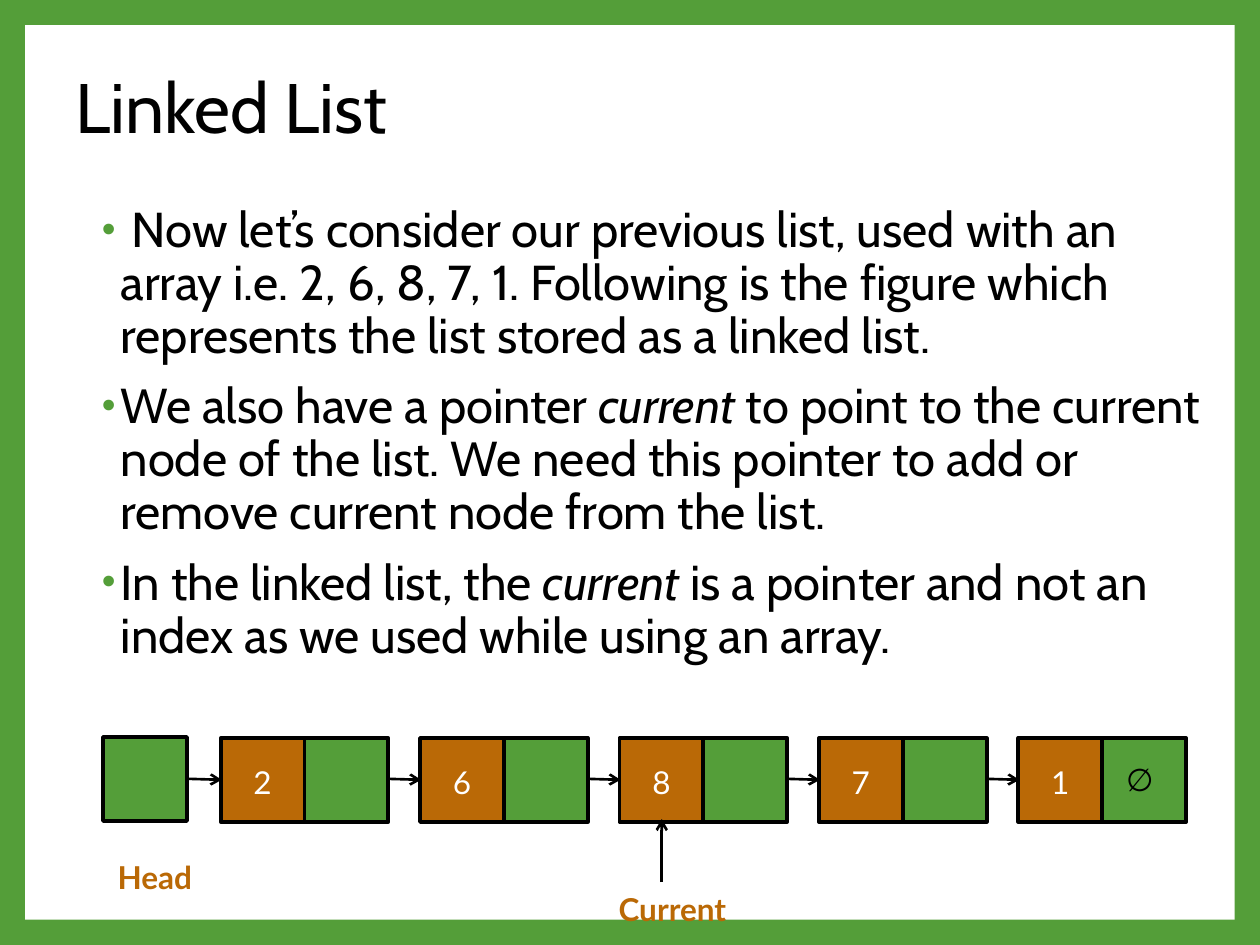
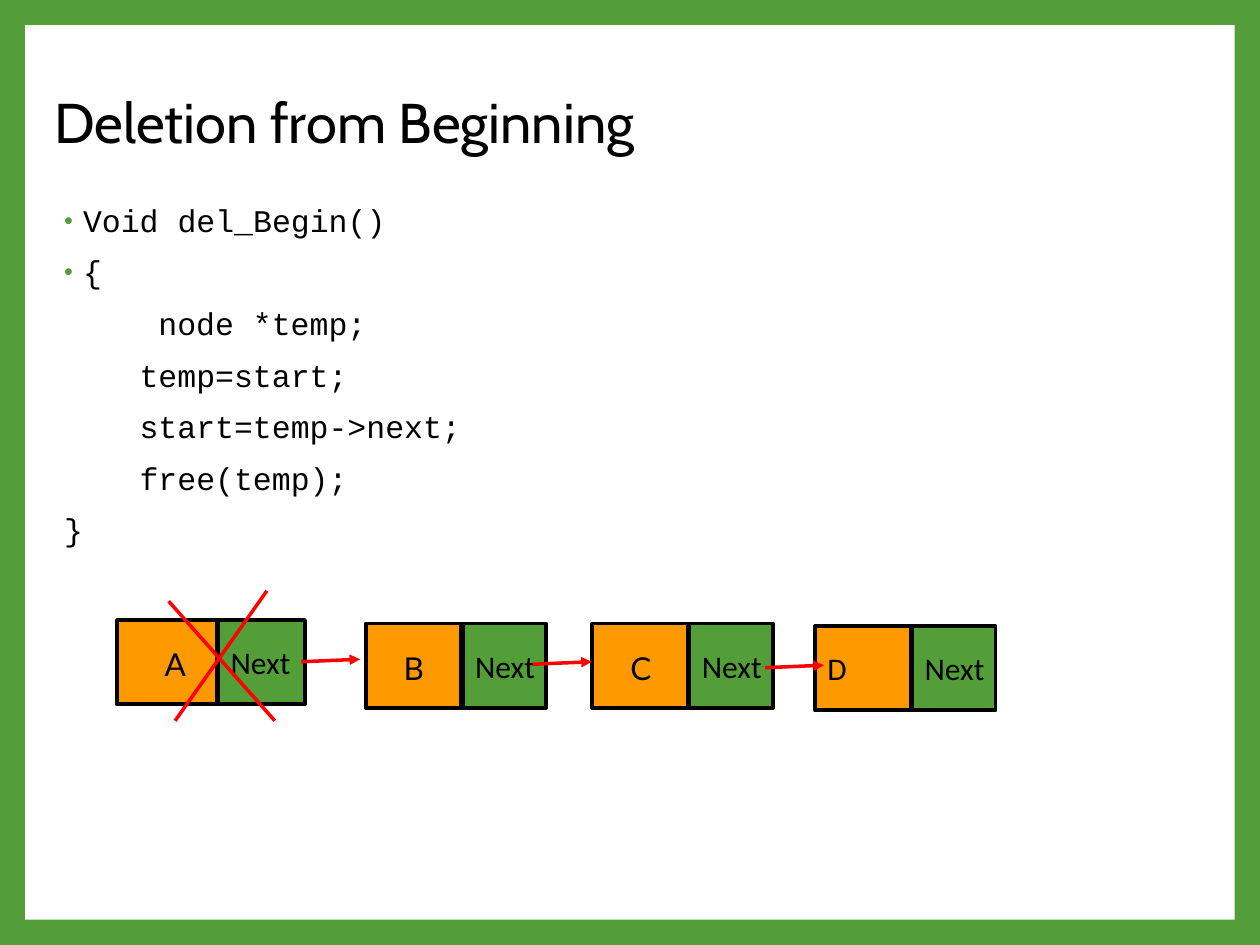
from lxml import etree
from pptx import Presentation
from pptx.dml.color import RGBColor
from pptx.enum.shapes import MSO_CONNECTOR, MSO_SHAPE
from pptx.enum.text import MSO_ANCHOR as Anchor, MSO_AUTO_SIZE as AutoSize, PP_ALIGN as Align
from pptx.oxml.ns import qn
from pptx.util import Cm, Pt

GREEN = RGBColor(0x54, 0x9E, 0x39)
BROWN = RGBColor(0xBA, 0x69, 0x06)
ORANGE = RGBColor(0xFF, 0x99, 0x00)
RED = RGBColor(0xFF, 0x00, 0x00)
BLACK = RGBColor(0x00, 0x00, 0x00)
WHITE = RGBColor(0xFF, 0xFF, 0xFF)

TITLE_TEXT = {"name": "Cabin", "size": Pt(40), "color": BLACK}
SMALL_TITLE_TEXT = {**TITLE_TEXT, "size": Pt(32)}
LIST_TEXT = {"name": "Cabin", "size": Pt(28), "color": BLACK}
CODE_TEXT = {"name": "Courier New", "size": Pt(18), "color": BLACK}
LETTER_TEXT = {"name": "Lato", "size": Pt(18), "color": BLACK}
NUMBER_TEXT = {**LETTER_TEXT, "color": WHITE}
POINTER_TEXT = {**LETTER_TEXT, "color": BROWN, "bold": True}
FIELD_TEXT = {"name": "Calibri", "size": Pt(18), "color": BLACK}

LINE_SPACING = 0.9
BULLET_INDENT = (0.48, -0.38)
CODE_MARGIN = 0.1
CODE_CHAR = 0.38

LIST_POINTS = [
    [" Now let’s consider our previous list, used with an array i.e. 2, 6, 8, 7, 1. "
     "Following is the figure which represents the list stored as a linked list."],
    ["We also have a pointer ", "current", " to point to the current node of the list. "
     "We need this pointer to add or remove current node from the list."],
    ["In the linked list, the ", "current",
     " is a pointer and not an index as we used while using an array."],
]

# Code line, indent in characters, bulleted
CODE_LINES = [
    ("Void del_Begin()", 0, True),
    ("{", 0, True),
    ("node *temp;", 5, False),
    ("temp=start;", 4, False),
    ("start=temp->next;", 4, False),
    ("free(temp);", 4, False),
    ("}", 0, False),
]


def set_formats(target, formats):
    for name, value in formats.items():
        if name == "color":
            target.color.rgb = value
        else:
            setattr(target, name, value)


def add_span(para, text, formats):
    span = para.add_run()
    span.text = text
    set_formats(span.font, formats)


def place(item, left, top, width, height):
    set_formats(item, {"left": Cm(left), "top": Cm(top),
                       "width": Cm(width), "height": Cm(height)})


def set_indent(para, margin, first_line, bulleted):
    props = para._p.get_or_add_pPr()
    props.set("marL", str(Cm(margin)))
    props.set("indent", str(Cm(first_line)))
    if not bulleted:
        etree.SubElement(props, qn("a:buNone"))
        return
    color = etree.SubElement(props, qn("a:buClr"))
    etree.SubElement(color, qn("a:srgbClr"), val=str(GREEN))
    etree.SubElement(props, qn("a:buSzPct"), val="80000")
    etree.SubElement(props, qn("a:buFont"), typeface="Arial")
    etree.SubElement(props, qn("a:buChar"), char="•")


def add_title(page, text, formats, area):
    title = page.shapes.title
    place(title, *area)
    set_formats(title.text_frame, {"vertical_anchor": Anchor.MIDDLE,
                                   "auto_size": AutoSize.NONE})
    para = title.text_frame.paragraphs[0]
    set_formats(para, {"alignment": Align.LEFT, "line_spacing": LINE_SPACING})
    add_span(para, text, formats)


def open_body(page, area):
    body = page.placeholders[1]
    place(body, *area)
    body.text_frame.auto_size = AutoSize.NONE
    return body.text_frame


def body_paragraphs(frame, count):
    """Yield the given number of evenly spaced paragraphs of a body."""
    for index in range(count):
        para = frame.add_paragraph() if index else frame.paragraphs[0]
        set_formats(para, {"line_spacing": LINE_SPACING, "space_before": Pt(10),
                           "space_after": Pt(0), "alignment": Align.LEFT})
        yield para


def add_cell(page, left, top, width, height, fill, outline=BLACK):
    cell = page.shapes.add_shape(MSO_SHAPE.RECTANGLE, Cm(left), Cm(top), Cm(width), Cm(height))
    cell.shadow.inherit = False
    cell.fill.solid()
    cell.fill.fore_color.rgb = fill
    if outline is None:
        cell.line.fill.background()
    else:
        cell.line.color.rgb = outline
        cell.line.width = Pt(2.25)
    return cell


def write(box, text, formats, **frame_formats):
    frame = box.text_frame
    set_formats(frame, {"word_wrap": False, **frame_formats})
    para = frame.paragraphs[0]
    para.alignment = Align.LEFT if "vertical_anchor" in frame_formats else Align.CENTER
    add_span(para, text, formats)


def write_field(cell, text):
    write(cell, text, FIELD_TEXT, vertical_anchor=Anchor.MIDDLE)


def write_label(box, text, formats):
    write(box, text, formats, auto_size=AutoSize.SHAPE_TO_FIT_TEXT)


def add_label(page, text, formats, left, top, width):
    box = page.shapes.add_textbox(Cm(left), Cm(top), Cm(width), Cm(1.02))
    write_label(box, text, formats)


def add_line(page, start, end, color, width, head=None):
    line = page.shapes.add_connector(MSO_CONNECTOR.STRAIGHT, *map(Cm, start + end))
    line.line.color.rgb = color
    line.line.width = Pt(width)
    props = line.element.spPr
    if head:
        etree.SubElement(props.find(qn("a:ln")), qn("a:tailEnd"), type=head)
    etree.SubElement(props, qn("a:effectLst"))


def add_page(deck):
    return deck.slides.add_slide(deck.slide_layouts[1])


def set_frame(deck, page):
    """Give the master a green ground and a white panel, drawn first on the page."""
    master = deck.slide_master
    master.background.fill.solid()
    master.background.fill.fore_color.rgb = GREEN
    panel = add_cell(page, 0.51, 0.51, 24.38, 18.03, WHITE, None)
    panel.element.nvSpPr.cNvPr.set("id", "20")
    master.placeholders[0].element.addprevious(panel.element)


def draw_number_list(page):
    size, top, first, pitch = 1.69, 14.88, 4.45, 4.02
    add_cell(page, 2.08, 14.86, size, size, GREEN)
    add_label(page, "Head", POINTER_TEXT, 2.03, 17.17, 2.18)
    for index, number in enumerate("26871"):
        left = first + index * pitch
        add_cell(page, left + size, top, size, size, GREEN)
        add_cell(page, left, top, size, size, BROWN)
        add_label(page, number, NUMBER_TEXT, left + 0.41, top + 0.37, 0.86)
        add_line(page, (left - 0.66, 15.7), (left + 0.02, 15.72), BLACK, 1.5, "arrow")
    add_label(page, "∅", LETTER_TEXT, 22.45, 15.19, 1.04)
    add_label(page, "Current", POINTER_TEXT, 12.07, 17.81, 2.97)
    add_line(page, (13.34, 17.78), (13.34, 16.51), BLACK, 1.5, "arrow")


def draw_node(page, letter, left, top, data_width, next_width, label=None):
    """Draw a data cell and its Next cell; label is the offset and width of a letter box."""
    height = 1.7
    following = add_cell(page, left + data_width + 0.03, top, next_width, height, GREEN)
    write_field(following, "Next")
    data = add_cell(page, left, top, data_width, height, ORANGE)
    if label is None:
        write_field(data, letter)
    else:
        offset, width = label
        box = add_cell(page, left + offset, top + 0.38, width, 1.02, ORANGE, None)
        write_label(box, letter, LETTER_TEXT)


def draw_deletion(page):
    draw_node(page, "A", 2.36, 12.5, 2.01, 1.75, (0.71, 0.61))
    draw_node(page, "B", 7.37, 12.57, 1.93, 1.68, (0.52, 0.89))
    draw_node(page, "C", 11.94, 12.57, 1.93, 1.68, (0.52, 0.89))
    draw_node(page, "D", 16.43, 12.62, 1.93, 1.68)
    for left, top in ((6.07, 13.34), (10.74, 13.39), (15.42, 13.46)):
        add_line(page, (left, top), (left + 1.19, top - 0.05), RED, 2, "triangle")
    add_line(page, (5.38, 11.91), (3.53, 14.53), RED, 2)
    add_line(page, (5.54, 14.53), (3.4, 12.12), RED, 2)


def build_linked_list(page):
    add_title(page, "Linked List", TITLE_TEXT, (1.27, 0.64, 22.86, 3.18))
    frame = open_body(page, (1.7, 4.01, 22.86, 12.57))
    for para, parts in zip(body_paragraphs(frame, len(LIST_POINTS)), LIST_POINTS):
        set_indent(para, *BULLET_INDENT, True)
        for part in parts:
            add_span(para, part, {**LIST_TEXT, "italic": part == "current"})
    draw_number_list(page)


def build_deletion(page):
    add_title(page, "Deletion from Beginning", SMALL_TITLE_TEXT, (0.84, 0.64, 20.57, 3.76))
    frame = open_body(page, (0.94, 4.01, 20.57, 11.23))
    for para, line in zip(body_paragraphs(frame, len(CODE_LINES)), CODE_LINES):
        text, depth, bulleted = line
        indent = BULLET_INDENT if bulleted else (CODE_MARGIN + depth * CODE_CHAR, 0)
        set_indent(para, *indent, bulleted)
        add_span(para, text, CODE_TEXT)
    draw_deletion(page)


def main():
    deck = Presentation()
    deck.slide_width, deck.slide_height = Cm(25.4), Cm(19.05)
    list_page = add_page(deck)
    set_frame(deck, list_page)
    build_linked_list(list_page)
    build_deletion(add_page(deck))
    deck.save("out.pptx")


if __name__ == "__main__":
    main()
